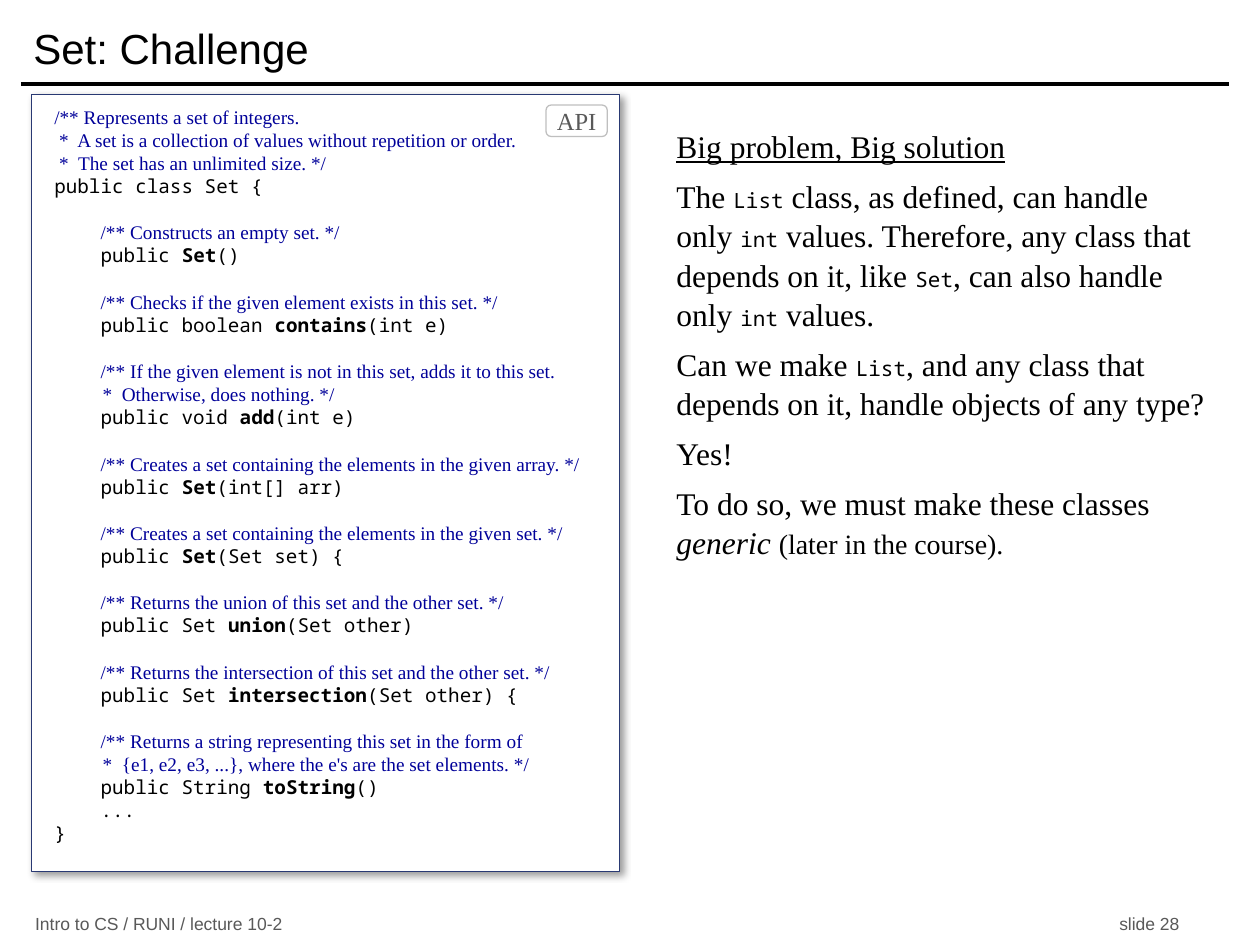
from pptx import Presentation
from pptx.dml.color import RGBColor
from pptx.enum.shapes import MSO_CONNECTOR, MSO_SHAPE
from pptx.enum.text import MSO_ANCHOR, PP_ALIGN
from pptx.oxml import parse_xml
from pptx.oxml.ns import nsdecls, qn
from pptx.util import Pt

RECT, ROUND = MSO_SHAPE.RECTANGLE, MSO_SHAPE.ROUNDED_RECTANGLE
STRAIGHT = MSO_CONNECTOR.STRAIGHT
TOP, MIDDLE = MSO_ANCHOR.TOP, MSO_ANCHOR.MIDDLE
LEFT, CENTER, RIGHT = PP_ALIGN.LEFT, PP_ALIGN.CENTER, PP_ALIGN.RIGHT
SANS, SERIF, MONO = "Arial", "Times New Roman", "Noto Sans Mono"
BLACK, WHITE, GRAY, NAVY = "000000", "FFFFFF", "595959", "000099"
PITCH = 13.2
TAB = "    "

INTRO = [
    "/** Represents a set of integers.",
    " *  A set is a collection of values without repetition or order.",
    " *  The set has an unlimited size. */",
]
METHODS = [
    (["/** Constructs an empty set. */"], "public ", "Set", "()"),
    (["/** Checks if the given element exists in this set. */"],
     "public boolean ", "contains", "(int e)"),
    (["/** If the given element is not in this set, adds it to this set.",
      "          *  Otherwise, does nothing. */"],
     "public void ", "add", "(int e)"),
    (["/** Creates a set containing the elements in the given array. */"],
     "public ", "Set", "(int[] arr)"),
    (["/** Creates a set containing the elements in the given set. */"],
     "public ", "Set", "(Set set) {"),
    (["/** Returns the union of this set and the other set. */"],
     "public Set ", "union", "(Set other)"),
    (["/** Returns the intersection of this set and the other set. */"],
     "public Set ", "intersection", "(Set other) {"),
    (["/** Returns a string representing this set in the form of",
      "          *  {e1, e2, e3, ...}, where the e's are the set elements. */"],
     "public String ", "toString", "()"),
]


def color(code):
    return RGBColor.from_string(code)


def add_run(para, text, font=SERIF, size=18, hue=BLACK,
            bold=False, italic=False, under=False):
    run = para.add_run()
    run.text = text
    face = run.font
    face.name, face.size = font, Pt(size)
    face.bold, face.italic, face.underline = bold, italic, under
    face.color.rgb = color(hue)


def add_para(frame, gap=0, pitch=None, align=LEFT):
    first = frame.paragraphs[0]
    para = frame.add_paragraph() if first.runs else first
    para.alignment = align
    para.space_before = Pt(gap)
    if pitch:
        para.line_spacing = pitch
    return para


def set_frame(frame, insets, anchor):
    frame.word_wrap = True
    frame.vertical_anchor = anchor
    sides = [Pt(n) for n in insets]
    (frame.margin_left, frame.margin_top,
     frame.margin_right, frame.margin_bottom) = sides
    return frame


def add_box(slide, place, anchor=TOP):
    box = slide.shapes.add_textbox(*[Pt(n) for n in place])
    return set_frame(box.text_frame, (7.2, 3.6, 7.2, 3.6), anchor)


def add_label(slide, place, text, size, hue, align=LEFT):
    para = add_para(add_box(slide, place, MIDDLE), align=align)
    add_run(para, text, SANS, size, hue)


def add_panel(slide, kind, place, edge):
    shape = slide.shapes.add_shape(kind, *[Pt(n) for n in place])
    shape.shadow.inherit = False
    shape.fill.solid()
    shape.fill.fore_color.rgb = color(WHITE)
    shape.line.color.rgb = color(edge)
    shape.line.width = Pt(0.75)
    return shape


def add_shadow(shape):
    effects = shape._element.spPr.find(qn("a:effectLst"))
    effects.append(parse_xml(
        f'<a:outerShdw {nsdecls("a")} blurRad="{Pt(4)}" dist="{Pt(3)}" '
        'dir="2700000" algn="tl" rotWithShape="0"><a:srgbClr val="000000">'
        '<a:alpha val="40000"/></a:srgbClr></a:outerShdw>'))


def add_rule(slide, start, end, y):
    line = slide.shapes.add_connector(STRAIGHT, Pt(start), Pt(y), Pt(end), Pt(y))
    line.line.color.rgb = color(BLACK)
    line.line.width = Pt(2)
    line._element.spPr.append(parse_xml(f'<a:effectLst {nsdecls("a")}/>'))


def add_code(slide):
    panel = add_panel(slide, RECT, (18, 54, 336, 444), "293973")
    add_shadow(panel)
    frame = set_frame(panel.text_frame, (13, 6, 0, 0), TOP)

    def line(gap=0):
        return add_para(frame, gap, Pt(PITCH))

    def code(para, text, bold=False):
        add_run(para, text, MONO, 11, bold=bold)

    def note(para, text):
        add_run(para, text, SERIF, 11, NAVY)

    for text in INTRO:
        note(line(), text)
    code(line(), "public class Set {")
    for (lead, *rest), head, name, tail in METHODS:
        para = line(PITCH)
        code(para, TAB)
        note(para, lead)
        for text in rest:
            note(line(), text)
        para = line()
        code(para, TAB + head)
        code(para, name, True)
        code(para, tail)
    code(line(), TAB + "...")
    code(line(), "}")


def add_badge(slide):
    badge = add_panel(slide, ROUND, (312, 60, 35, 18), "BFBFBF")
    frame = set_frame(badge.text_frame, (0, 3.6, 0, 3.6), MIDDLE)
    add_run(add_para(frame, align=CENTER), "API", SERIF, 14, GRAY)


def add_body(slide):
    mono = {"font": MONO, "size": 12}
    paras = [
        [("Big problem, Big solution", {"under": True})],
        [("The ", {}), ("List", mono),
         (" class, as defined, can handle only ", {}), ("int", mono),
         (" values. Therefore, any class that depends on it, like ", {}),
         ("Set", mono), (", can also handle only ", {}), ("int", mono),
         (" values.", {})],
        [("Can we make ", {}), ("List", mono),
         (", and any class that depends on it, handle objects of any type?", {})],
        [("Yes!", {})],
        [("To do so, we must make these classes ", {}),
         ("generic ", {"italic": True}),
         ("(later in the course).", {"size": 16})],
    ]
    frame = add_box(slide, (375, 68.4, 324, 247))
    for i, runs in enumerate(paras):
        para = add_para(frame, 6 if i else 0, 1.04)
        para._p.get_or_add_pPr().set("marL", str(Pt(4.5)))
        for text, style in runs:
            add_run(para, text, **style)


def main():
    deck = Presentation()
    deck.slide_width, deck.slide_height = Pt(720), Pt(540)
    slide = deck.slides.add_slide(deck.slide_layouts[6])
    add_rule(slide, 12, 702, 48)
    add_label(slide, (13, 520.5, 300, 14), "Intro to CS / RUNI / lecture 10-2", 10, GRAY)
    add_label(slide, (581, 520.5, 100, 14), "slide 28", 10, GRAY, RIGHT)
    add_label(slide, (12, 6, 690, 42), "Set: Challenge", 24, BLACK)
    add_code(slide)
    add_badge(slide)
    add_body(slide)
    deck.save("out.pptx")


if __name__ == "__main__":
    main()
